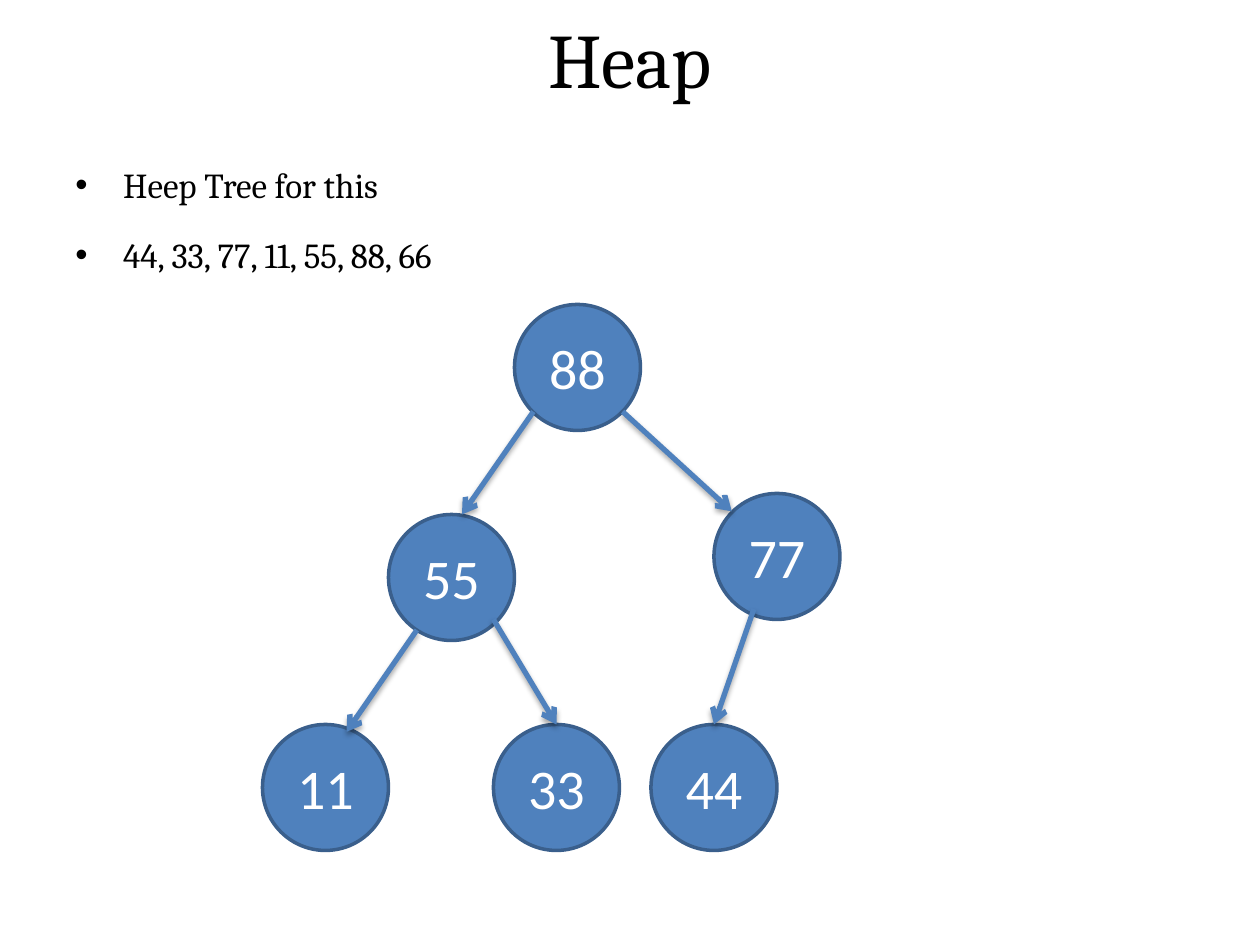
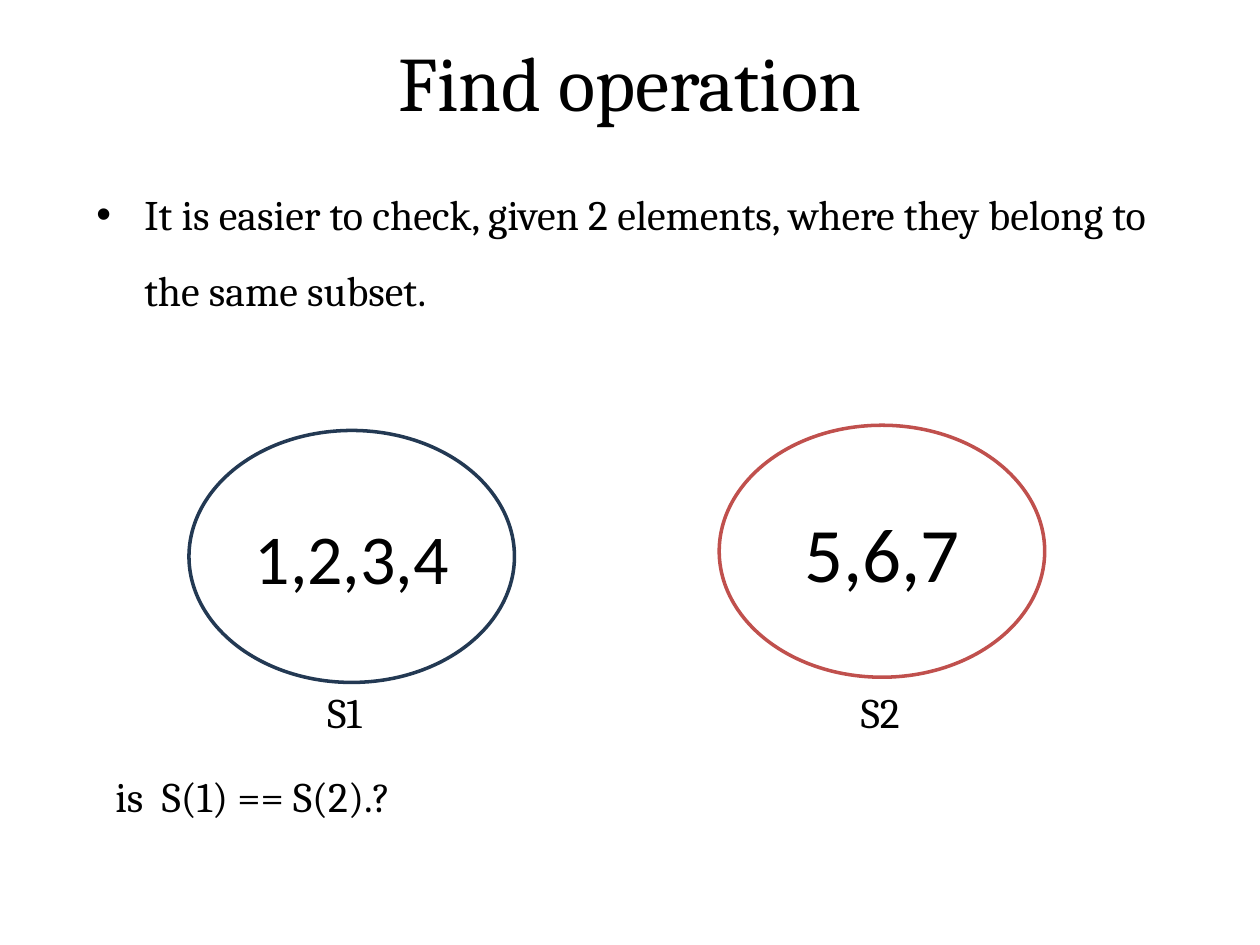
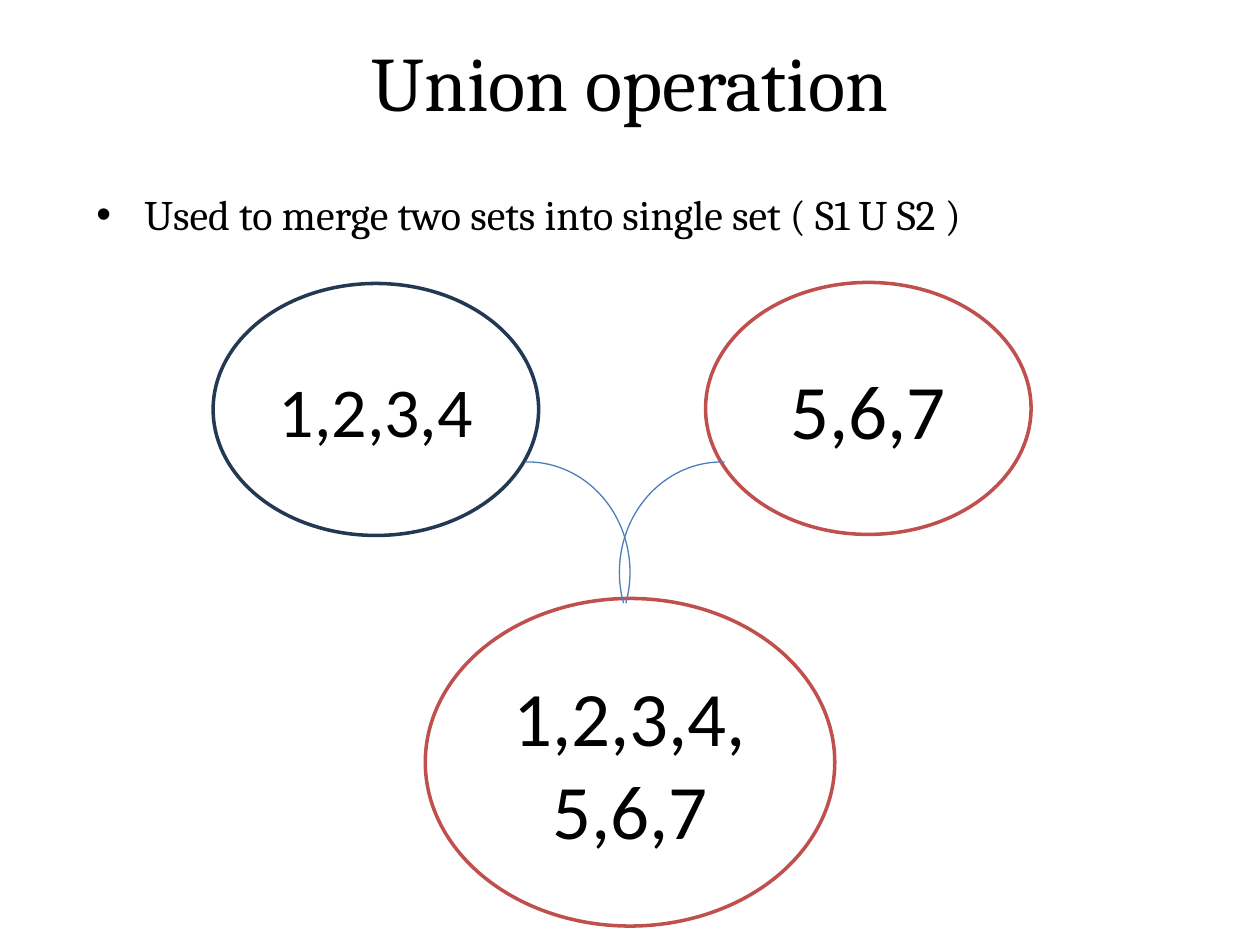
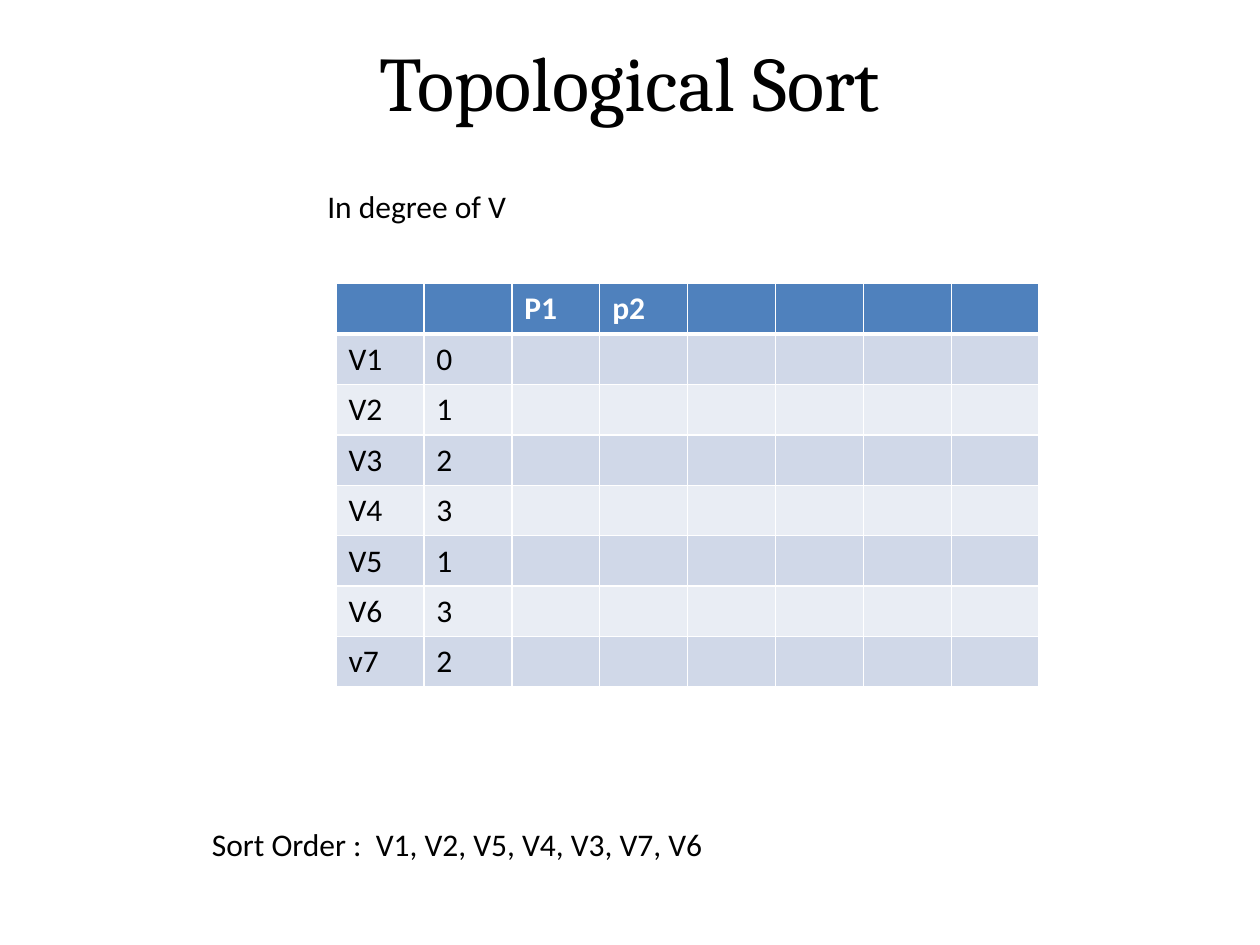
"""Build four slides on heaps, set operations and topological sorting."""
from lxml import etree
from pptx import Presentation
from pptx.dml.color import RGBColor
from pptx.enum.shapes import MSO_CONNECTOR as CONN, MSO_SHAPE as SHAPE
from pptx.enum.text import MSO_ANCHOR as ANCHOR, PP_ALIGN as ALIGN
from pptx.oxml import parse_xml
from pptx.oxml.ns import nsdecls, qn
from pptx.util import Inches, Pt

BLACK = RGBColor(0x00, 0x00, 0x00)
WHITE = RGBColor(0xFF, 0xFF, 0xFF)
BLUE = RGBColor(0x4F, 0x81, 0xBD)
DARK_BLUE = RGBColor(0x3A, 0x5F, 0x8C)
NAVY = RGBColor(0x23, 0x39, 0x53)
RED = RGBColor(0xC0, 0x50, 0x4D)
ARC_BLUE = RGBColor(0x4B, 0x7E, 0xBC)
BAND_DARK = RGBColor(0xD0, 0xD8, 0xE8)
BAND_LIGHT = RGBColor(0xE9, 0xED, 0xF4)
HEADING, PLAIN = "Cambria", "Calibri"

prs = Presentation()
prs.slide_width, prs.slide_height = Inches(10), Inches(7.5)
U = prs.slide_width // 120


def add_text(shapes, box, lines, size, font=HEADING, align=ALIGN.LEFT,
             anchor=ANCHOR.TOP, spacing=1.0, bullet=False, wrap=True):
    """Add a text box, placed in grid units, with one paragraph per line."""
    sp = shapes.add_textbox(*(int(v * U) for v in box))
    tf = sp.text_frame
    tf.word_wrap, tf.vertical_anchor = wrap, anchor
    for i, line in enumerate(lines):
        p = tf.paragraphs[0] if i == 0 else tf.add_paragraph()
        p.alignment, p.line_spacing = align, spacing
        if i:
            p.space_before = Pt(size * 0.2)
        if bullet:
            pPr = p._p.get_or_add_pPr()
            pPr.set("marL", str(Inches(0.38)))
            pPr.set("indent", str(-Inches(0.38)))
            etree.SubElement(pPr, qn("a:buFont")).set("typeface", "Arial")
            etree.SubElement(pPr, qn("a:buChar")).set("char", "•")
        r = p.add_run()
        r.text = line
        r.font.size, r.font.name, r.font.color.rgb = Pt(size), font, BLACK


def add_oval(shapes, box, text, size, fill, line, color=BLACK):
    """Add an ellipse, placed in grid units, with centred text."""
    sp = shapes.add_shape(SHAPE.OVAL, *(int(v * U) for v in box))
    sp.shadow.inherit = False
    if fill is None:
        sp.fill.background()
    else:
        sp.fill.solid()
        sp.fill.fore_color.rgb = fill
    sp.line.color.rgb, sp.line.width = line, Pt(2)
    tf = sp.text_frame
    tf.vertical_anchor = ANCHOR.MIDDLE
    p = tf.paragraphs[0]
    p.alignment = ALIGN.CENTER
    r = p.add_run()
    r.text = text
    r.font.size, r.font.name, r.font.color.rgb = Pt(size), PLAIN, color


slides = []
for title, spacing in (("Heap", 1.0), ("Find operation", 1.5),
                       ("Union operation", 1.5), ("Topological Sort", 1.5)):
    s = prs.slides.add_slide(prs.slide_layouts[6])
    add_text(s.shapes, (6, -2, 108, 15), [title], 44, align=ALIGN.CENTER,
             anchor=ANCHOR.MIDDLE, spacing=spacing)
    slides.append(s)
heap, find, union, topo = (s.shapes for s in slides)

add_text(heap, (6, 13, 108, 73), ["Heep Tree for this", "44, 33, 77, 11, 55, 88, 66"],
         20, align=ALIGN.JUSTIFY, spacing=1.5, bullet=True)
tree = heap.add_group_shape().shapes
for value, x, y in (("88", 49, 29), ("55", 37, 49), ("11", 25, 69),
                    ("33", 47, 69), ("77", 68, 47), ("44", 62, 69)):
    add_oval(tree, (x, y, 12, 12), value, 32, BLUE, DARK_BLUE, WHITE)
for edge in ((50.8, 39.2, 44, 49), (39.7, 60, 33, 69.7), (47, 59, 53, 69),
             (59.3, 39.2, 69.7, 48.7), (71.8, 58, 68, 69)):
    cn = tree.add_connector(CONN.STRAIGHT, *(int(v * U) for v in edge))
    cn.line.color.rgb, cn.line.width = BLUE, Pt(3)
    etree.SubElement(cn.line._get_or_add_ln(), qn("a:tailEnd")).set("type", "arrow")
    cn._element.spPr.append(parse_xml(
        f'<a:effectLst {nsdecls("a")}><a:outerShdw blurRad="{Pt(3.1)}" dist="{Pt(1.8)}" '
        'dir="5400000" rotWithShape="0"><a:srgbClr val="000000"><a:alpha val="35000"/>'
        '</a:srgbClr></a:outerShdw></a:effectLst>'))

for shapes, line, first, second in (
        (find, "It is easier to check, given 2 elements, where they belong to the same subset.",
         (18, 41), (68.5, 40.5)),
        (union, "Used to merge two sets into single set ( S1 U S2 )",
         (20.3, 27), (67.2, 26.9))):
    add_text(shapes, (8, 15, 106, 75), [line], 24, spacing=1.5, bullet=True)
    add_oval(shapes, (*first, 31, 24), "1,2,3,4", 40, None, NAVY)
    add_oval(shapes, (*second, 31, 24), "5,6,7", 44, WHITE, RED)

for label, x, y, w in (("S1", 30, 64.8, 8), ("S2", 80.8, 64.8, 8),
                       ("is  S(1) == S(2).?", 9.8, 72.8, 40)):
    add_text(find, (x, y, w, 6), [label], 24, anchor=ANCHOR.MIDDLE)

add_oval(union, (40.5, 57, 39, 31.2), "1,2,3,4,5,6,7", 44, WHITE, RED)
for x, flipped in ((40.5, False), (59, True)):
    sp = union.add_shape(SHAPE.ARC, *(int(v * U) for v in (x, 44, 19.5, 21)))
    sp.shadow.inherit = False
    sp.fill.background()
    sp.line.color.rgb, sp.line.width = ARC_BLUE, Pt(0.75)
    sp.adjustments[0], sp.adjustments[1] = 161.14, 10.51
    if flipped:
        sp._element.spPr.find(qn("a:xfrm")).set("flipH", "1")

rows = [("", "", "P1", "p2"), ("V1", "0"), ("V2", "1"), ("V3", "2"),
        ("V4", "3"), ("V5", "1"), ("V6", "3"), ("v7", "2")]
table = topo.add_table(len(rows), 8, 32 * U, 27 * U, 67 * U, int(38.4 * U)).table
for i, row in enumerate(rows):
    for j, cell in enumerate(table.rows[i].cells):
        tcPr = cell._tc.get_or_add_tcPr()
        for side in "LRTB":
            thick = (i, side) in ((0, "B"), (1, "T"))
            tcPr.append(parse_xml(
                f'<a:ln{side} {nsdecls("a")} w="{Pt(3 if thick else 1)}"><a:solidFill>'
                f'<a:srgbClr val="{WHITE}"/></a:solidFill></a:ln{side}>'))
        cell.fill.solid()
        cell.fill.fore_color.rgb = BLUE if i == 0 else BAND_DARK if i % 2 else BAND_LIGHT
        if j < len(row) and row[j]:
            r = cell.text_frame.paragraphs[0].add_run()
            r.text = row[j]
            r.font.size, r.font.name, r.font.bold = Pt(18), PLAIN, i == 0
            r.font.color.rgb = BLACK if i else WHITE

add_text(topo, (30, 17.2, 67, 4.8), ["In degree of V"], 18, PLAIN)
add_text(topo, (19, 78, 49.4, 4.8), ["Sort Order :  V1, V2, V5, V4, V3, V7, V6"], 18,
         PLAIN, wrap=False)

prs.save("out.pptx")
